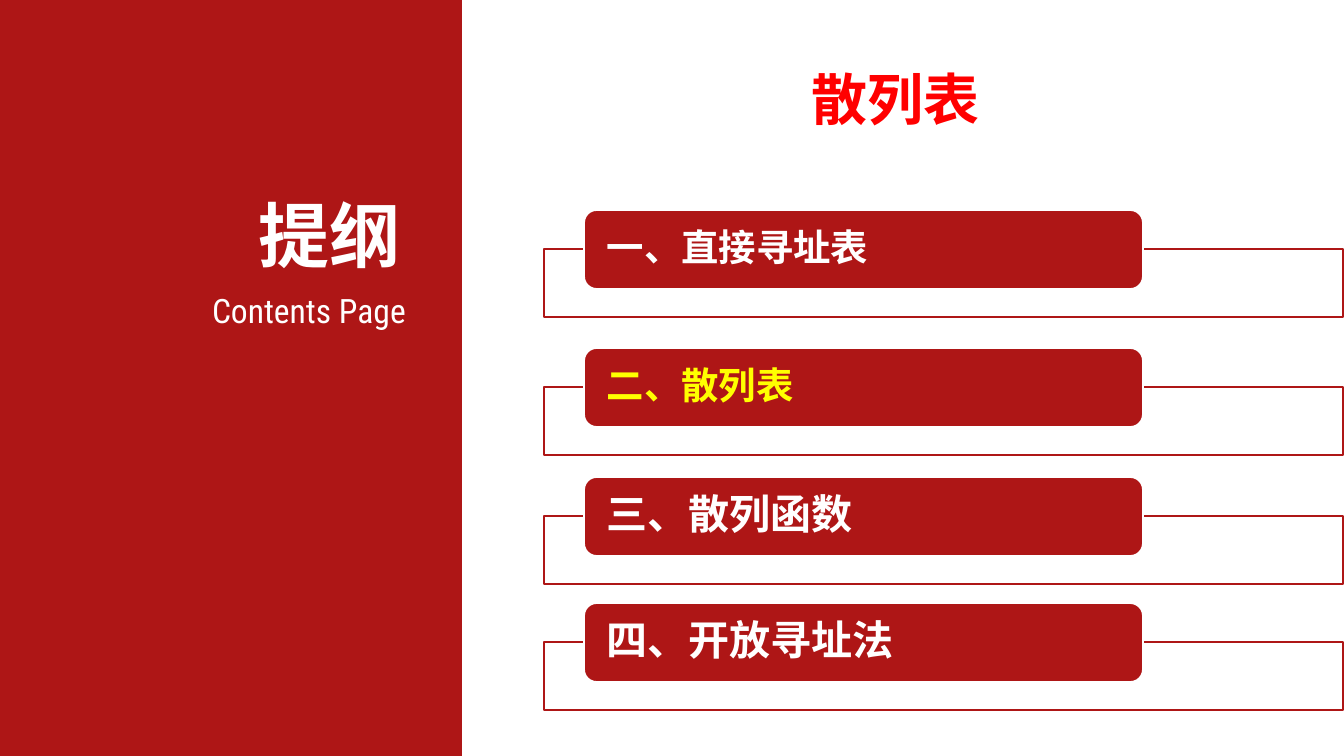
from lxml import etree
from pptx import Presentation
from pptx import util as u
from pptx.dml.color import RGBColor
from pptx.enum import shapes, text
from pptx.oxml.ns import qn

PX = 6804
CRIMSON = RGBColor(0xAE, 0x16, 0x16)
WHITE = RGBColor(0xFF, 0xFF, 0xFF)
YELLOW = RGBColor(0xFF, 0xFF, 0x00)
RED = RGBColor(0xFF, 0x00, 0x00)

CHAPTERS = [
    (210, "一、直接寻址表", "Karla", 20, WHITE),
    (348, "二、散列表", "Karla", 20, YELLOW),
    (477, "三、散列函数", "Noto Sans CJK SC", 22, WHITE),
    (603, "四、开放寻址法", "Noto Sans CJK SC", 22, WHITE),
]


def px(*lengths):
    return [u.Emu(length * PX) for length in lengths]


def apply(target, values):
    for name, value in values.items():
        setattr(target, name, value)


def add_block(slide, preset, box, fill, outline=None):
    block = slide.shapes.add_shape(preset, *px(*box))
    block.shadow.inherit = False
    block.fill.solid()
    block.fill.fore_color.rgb = fill
    if outline is None:
        block.line.fill.background()
    else:
        block.line.color.rgb = outline
        block.line.width = u.Pt(1)
    return block


def write(holder, wording, color, font, frame, paragraph):
    apply(holder.text_frame, {"word_wrap": True, **frame})
    line = holder.text_frame.paragraphs[0]
    apply(line, paragraph)
    run = line.add_run()
    run.text = wording
    apply(run.font, font)
    run.font.color.rgb = color


def add_label(slide, box, wording, color, font, frame, paragraph):
    label = slide.shapes.add_textbox(*px(*box))
    write(label, wording, color, font, frame, paragraph)


def add_sidebar(slide, left, top, width, height):
    add_block(slide, shapes.MSO_SHAPE.RECTANGLE, (left, top, width, height), CRIMSON)
    side, edge = px(9, 5)
    frame = {"margin_left": side, "margin_right": side,
             "margin_top": edge, "margin_bottom": edge}
    paragraph = {"alignment": text.PP_ALIGN.RIGHT}
    add_label(slide, (left + 46, top + 285, 369, 51), "Contents Page", WHITE,
              {"name": "Roboto Condensed", "size": u.Pt(18)}, frame, paragraph)
    add_label(slide, (left + 148, top + 187, 262, 97), "提纲", WHITE,
              {"name": "Arial", "size": u.Pt(38), "bold": True}, frame, paragraph)


def add_heading(slide, left, top, width, height):
    add_label(slide, (left, top, width, height), "散列表", RED,
              {"name": "Arial", "size": u.Pt(30), "bold": True},
              {"vertical_anchor": text.MSO_ANCHOR.MIDDLE},
              {"alignment": text.PP_ALIGN.CENTER, "line_spacing": 1.5})


def add_chapter(slide, left, top, width, wording, font_name, size, color):
    tray = add_block(slide, shapes.MSO_SHAPE.RECTANGLE,
                     (left, top + 39, width, 68), WHITE, CRIMSON)
    tray_color = tray.fill._xPr.find(qn("a:solidFill"))[0]
    etree.SubElement(tray_color, qn("a:alpha"), val="90000")

    bar = add_block(slide, shapes.MSO_SHAPE.ROUNDED_RECTANGLE,
                    (left + 40, top, 559, 79), CRIMSON, WHITE)
    bar.adjustments[0] = 0.16
    side, edge = px(19, 3)
    write(bar, wording, color,
          {"name": font_name, "size": u.Pt(size), "bold": True},
          {"margin_left": side, "margin_right": side,
           "margin_top": edge, "margin_bottom": edge,
           "vertical_anchor": text.MSO_ANCHOR.MIDDLE},
          {"alignment": text.PP_ALIGN.LEFT, "line_spacing": 0.9})


def main():
    deck = Presentation()
    deck.slide_width, deck.slide_height = px(1344, 756)
    slide = deck.slides.add_slide(deck.slide_layouts[6])
    add_sidebar(slide, 0, 0, 462, 756)
    add_heading(slide, 462, 0, 867, 163)
    for top, *chapter in CHAPTERS:
        add_chapter(slide, 544, top, 799, *chapter)
    deck.save("out.pptx")


if __name__ == "__main__":
    main()
